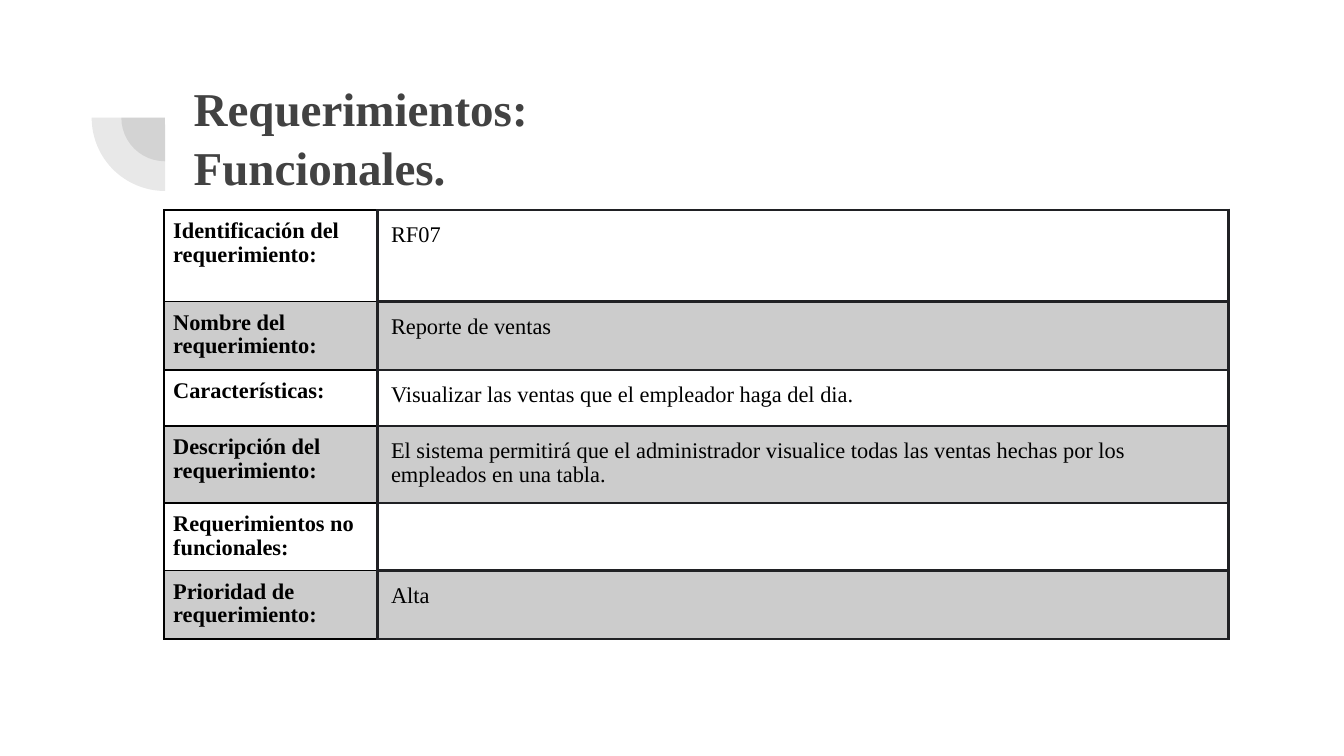
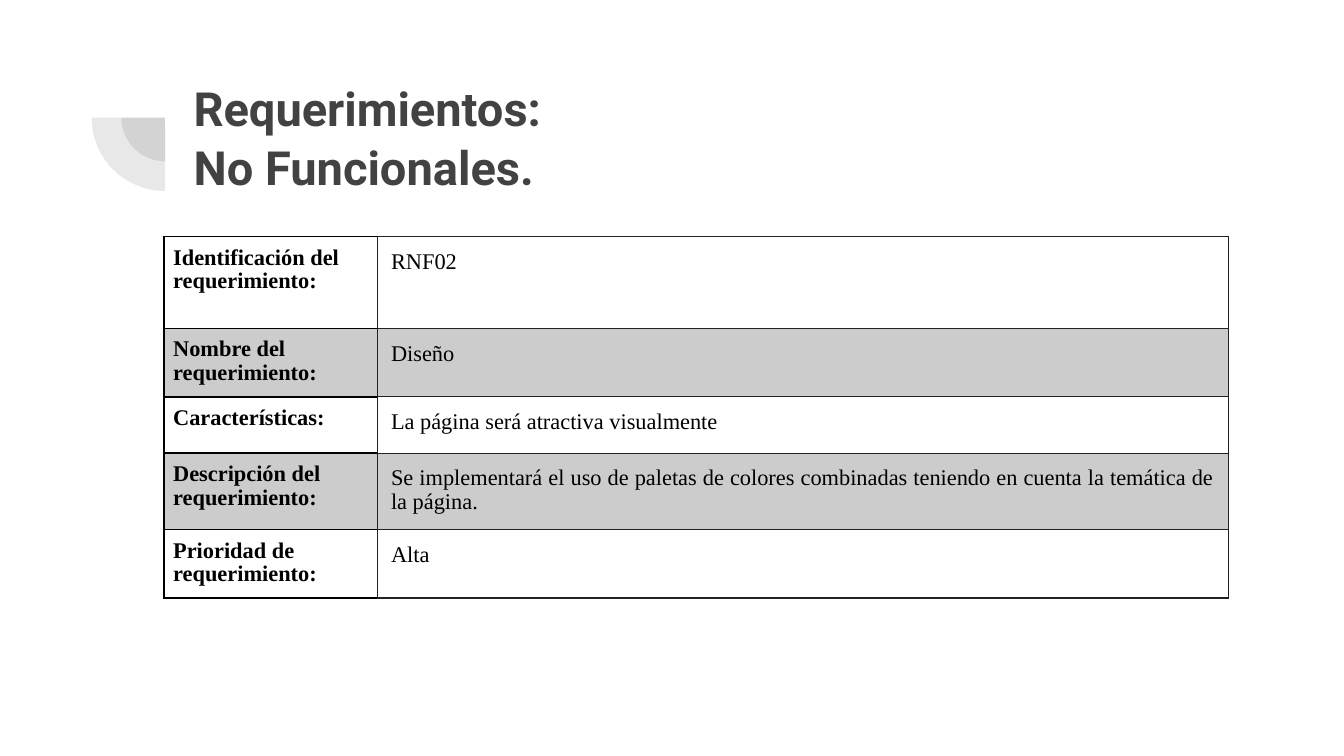
from dataclasses import dataclass

from lxml import etree
from pptx import Presentation
from pptx.dml.color import RGBColor
from pptx.enum.shapes import MSO_SHAPE
from pptx.enum.text import MSO_ANCHOR, MSO_AUTO_SIZE, PP_ALIGN
from pptx.oxml.ns import qn
from pptx.util import Pt

PIE = MSO_SHAPE.PIE
TOP, MIDDLE = MSO_ANCHOR.TOP, MSO_ANCHOR.MIDDLE
NO_AUTOFIT = MSO_AUTO_SIZE.NONE
LEFT, JUSTIFY = PP_ALIGN.LEFT, PP_ALIGN.JUSTIFY

GRAY = RGBColor(0x42, 0x42, 0x42)
BLACK = RGBColor(0x00, 0x00, 0x00)
BAND = RGBColor(0xCC, 0xCC, 0xCC)
EDGE = RGBColor(0x20, 0x21, 0x24)

SERIF = "Times New Roman"
SANS = "Roboto"

TABLE_LEFT = 87.8
COLUMN_WIDTHS = (114.5, 455.8)
LABEL_INSET, VALUE_INSET = 5, 7.2
PIE_CENTER = (88.4, 63)
PIE_DIAMETERS = (46.8, 78.6)
PIE_OPACITY = "12000"


@dataclass
class Field:
    """Label column entry with its row height."""
    label: str
    height: float
    right_inset: float = LABEL_INSET


@dataclass
class Border:
    color: RGBColor
    width: float


@dataclass
class Requirement:
    title: str
    title_font: str
    table_top: float
    divider: Border
    value_border: Border
    rows: list[tuple[Field, str]]
    alignment: PP_ALIGN = LEFT


# Fields shared by the requirement tables
IDENTIFIER = Field("Identificación del\nrequerimiento:", 49.2, right_inset=18)
NAME = Field("Nombre del\nrequerimiento:", 36.6)
FEATURES = Field("Características:", 30.2)
DESCRIPTION = Field("Descripción del requerimiento:", 41)
NON_FUNCTIONAL = Field("Requerimientos no funcionales:", 35.6)
PRIORITY = Field("Prioridad de\nrequerimiento:", 36.6)

REQUIREMENTS = [
    Requirement(
        "Requerimientos:\nFuncionales.", SERIF, 112.4,
        Border(EDGE, 1.5), Border(EDGE, 1.5),
        [
            (IDENTIFIER, "RF07"),
            (NAME, "Reporte de ventas"),
            (FEATURES, "Visualizar las ventas que el empleador haga del dia."),
            (DESCRIPTION, "El sistema permitirá que el administrador visualice "
                          "todas las ventas hechas por los empleados en una tabla."),
            (NON_FUNCTIONAL, ""),
            (PRIORITY, "Alta"),
        ],
    ),
    Requirement(
        "Requerimientos:\nNo Funcionales.", SANS, 126.8,
        Border(EDGE, 1), Border(EDGE, 0.75),
        [
            (IDENTIFIER, "RNF02"),
            (NAME, "Diseño"),
            (FEATURES, "La página será atractiva visualmente"),
            (DESCRIPTION, "Se implementará el uso de paletas de colores combinadas "
                          "teniendo en cuenta la temática de la página."),
            (PRIORITY, "Alta"),
        ],
        alignment=JUSTIFY,
    ),
]


def write_text(text_frame, text: str, *, font: str = SERIF, size: float = 12,
               color: RGBColor = BLACK, bold: bool = False,
               alignment: PP_ALIGN = LEFT, line_spacing: float = 0.96) -> None:
    """Write each line of the text as a formatted paragraph."""
    for index, line in enumerate(text.split("\n")):
        paragraph = text_frame.paragraphs[0] if index == 0 else text_frame.add_paragraph()
        paragraph.alignment = alignment
        paragraph.line_spacing = line_spacing
        if line:
            run = paragraph.add_run()
            run.text = line
            run.font.name = font
            run.font.size = Pt(size)
            run.font.bold = bold
            run.font.color.rgb = color


def set_insets(target, inset: float) -> None:
    target.margin_left = target.margin_right = Pt(inset)
    target.margin_top = target.margin_bottom = Pt(inset)


def set_borders(cell, **borders: Border) -> None:
    """Draw the cell edges; python-pptx has no method for them."""
    properties = cell._tc.get_or_add_tcPr()
    for side in ("L", "R", "T", "B"):
        border = borders[side]
        line = etree.SubElement(properties, qn(f"a:ln{side}"), w=str(Pt(border.width)))
        fill = etree.SubElement(line, qn("a:solidFill"))
        etree.SubElement(fill, qn("a:srgbClr"), val=str(border.color))


def add_title(slide, text: str, font: str) -> None:
    title = slide.shapes.title
    title.left, title.top, title.width, title.height = Pt(96.5), Pt(33.8), Pt(553.7), Pt(78.5)
    text_frame = title.text_frame
    text_frame.auto_size = NO_AUTOFIT
    text_frame.word_wrap = True
    text_frame.vertical_anchor = MIDDLE
    set_insets(text_frame, VALUE_INSET)
    write_text(text_frame, text, font=font, size=25.2, color=GRAY, bold=True,
               line_spacing=1.04)


def add_quarter_circles(slide) -> None:
    """Place the two concentric quarter circles behind the title."""
    center_x, center_y = PIE_CENTER
    for diameter in PIE_DIAMETERS:
        pie = slide.shapes.add_shape(
            PIE, Pt(center_x - diameter / 2), Pt(center_y - diameter / 2),
            Pt(diameter), Pt(diameter))
        pie.adjustments[0], pie.adjustments[1] = 107.93, 162
        pie.rotation = 270
        pie.shadow.inherit = False
        pie.line.fill.background()
        pie.fill.solid()
        pie.fill.fore_color.rgb = GRAY
        color = pie.element.spPr.find(f"{qn('a:solidFill')}/{qn('a:srgbClr')}")
        etree.SubElement(color, qn("a:alpha"), val=PIE_OPACITY)
        slide.shapes.title.element.addprevious(pie.element)


def add_requirement_table(slide, requirement: Requirement) -> None:
    rows = requirement.rows
    table = slide.shapes.add_table(
        len(rows), len(COLUMN_WIDTHS), Pt(TABLE_LEFT), Pt(requirement.table_top),
        Pt(sum(COLUMN_WIDTHS)), Pt(sum(field.height for field, _ in rows))).table
    table.first_row = table.horz_banding = False
    for column, width in zip(table.columns, COLUMN_WIDTHS):
        column.width = Pt(width)

    label_border, value_border = Border(BLACK, 1), requirement.value_border
    for index, (field, value) in enumerate(rows):
        table.rows[index].height = Pt(field.height)
        label_cell, value_cell = table.cell(index, 0), table.cell(index, 1)

        set_insets(label_cell, LABEL_INSET)
        label_cell.margin_right = Pt(field.right_inset)
        write_text(label_cell.text_frame, field.label, bold=True)
        set_borders(label_cell, L=label_border, R=requirement.divider,
                    T=label_border, B=label_border)

        set_insets(value_cell, VALUE_INSET)
        alignment = requirement.alignment if field is DESCRIPTION else LEFT
        write_text(value_cell.text_frame, value, alignment=alignment)
        set_borders(value_cell, L=requirement.divider, R=value_border,
                    T=value_border, B=value_border)

        # Every second row is shaded
        for cell in (label_cell, value_cell):
            cell.vertical_anchor = TOP
            if index % 2:
                cell.fill.solid()
                cell.fill.fore_color.rgb = BAND
            else:
                cell.fill.background()


def main() -> None:
    presentation = Presentation()
    presentation.slide_width, presentation.slide_height = Pt(720), Pt(405)
    title_only = presentation.slide_layouts[5]
    for requirement in REQUIREMENTS:
        slide = presentation.slides.add_slide(title_only)
        add_quarter_circles(slide)
        add_title(slide, requirement.title, requirement.title_font)
        add_requirement_table(slide, requirement)
    presentation.save("out.pptx")


if __name__ == "__main__":
    main()
